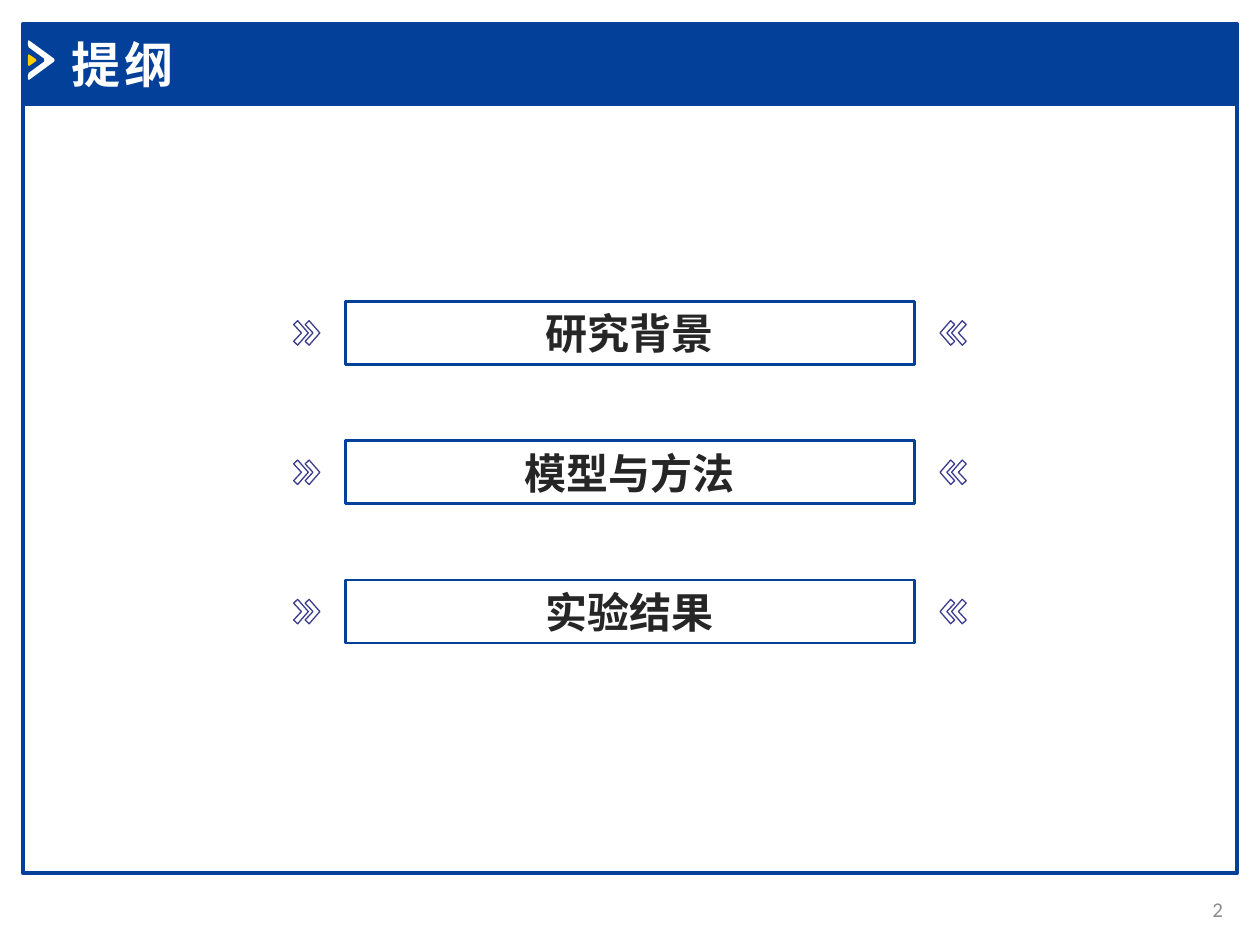
from pptx import Presentation
from pptx import util as u
from pptx.dml import color
from pptx.enum import shapes, text
from pptx.oxml import ns
from lxml import etree

Pt = u.Pt
HUES = {"blue": "02409A", "white": "FFFFFF", "gold": "FFCC00",
        "mark": "3C3C8E", "ink": "262626", "gray": "8C8C8C"}
CJK = "Noto Sans CJK SC"
ITEMS = ["研究背景", "模型与方法", "实验结果"]

# Outlines in points from their own top left corner
ARROW = [(0.5, 0), (0, 0.9), (0, 2.7), (0.5, 4.1), (9.2, 10.5), (9.4, 11.4),
         (9.2, 12.3), (0.5, 18.7), (0, 20), (0, 21.9), (0.5, 22.8),
         (15, 12.2), (15.2, 11.4), (15, 10.6)]
TIP = [(0.5, 0), (0, 0.8), (0, 6), (0.5, 6.8), (4.6, 4), (4.8, 3.4), (4.6, 2.8)]
CHEVRON = [(2.3, 0), (0, 2.2), (4.5, 7), (0, 11.8), (2.3, 14), (8.4, 7)]


def rgb(name):
    return color.RGBColor.from_string(HUES[name])


def paint(shape, fill=None, line=None, width=1):
    shape.shadow.inherit = False
    if fill:
        shape.fill.solid()
        shape.fill.fore_color.rgb = rgb(fill)
    else:
        shape.fill.background()
    if line:
        shape.line.color.rgb = rgb(line)
        shape.line.width = Pt(width)
    else:
        shape.line.fill.background()


def rect(slide, box, **look):
    shape = slide.shapes.add_shape(shapes.MSO_SHAPE.RECTANGLE, *map(Pt, box))
    paint(shape, **look)
    return shape


def outline(slide, left, top, points, flip=False, **look):
    """Draw a closed outline; flip mirrors it, with left as its right edge."""
    sign = -1 if flip else 1
    spots = [(Pt(left + sign * x), Pt(top + y)) for x, y in points]
    pen = slide.shapes.build_freeform(*spots[0])
    pen.add_line_segments(spots[1:], close=True)
    paint(pen.convert_to_shape(), **look)


def write(shape, words, size, hue, font="Calibri", bold=False,
          align="LEFT", space=0):
    frame = shape.text_frame
    frame.word_wrap = True
    frame.vertical_anchor = text.MSO_ANCHOR.MIDDLE
    para = frame.paragraphs[0]
    para.alignment = text.PP_ALIGN[align]
    run = para.add_run()
    run.text = words
    run.font.size, run.font.bold, run.font.name = Pt(size), bold, font
    run.font.color.rgb = rgb(hue)
    props = run.font.language_id is not None and run._r.get_or_add_rPr()
    if space:
        props.set("spc", str(space * 100))
    latin = props.find(ns.qn("a:latin"))
    east = etree.Element(ns.qn("a:ea"), typeface=CJK)
    latin.addnext(east)


def label(slide, box, words, size, hue, **style):
    write(slide.shapes.add_textbox(*map(Pt, box)), words, size, hue, **style)


def panel(slide, left, top, wide, high, head=46):
    # Frame with its title bar
    rect(slide, (left, top + head, wide, high - head), line="blue", width=2)
    rect(slide, (left, top, wide, head), fill="blue", line="blue", width=2)
    # Title arrow
    outline(slide, left + 3, top + 9.3, ARROW, fill="white")
    outline(slide, left + 3, top + 17.3, TIP, fill="gold")
    label(slide, (left + 21, top + 2.3, 256, 41), "提纲", 28, "white",
          bold=True, space=2)


def entry(slide, left, top, wide, high, words):
    shape = rect(slide, (left, top, wide, high), line="blue", width=1.5)
    write(shape, words, 24, "ink", font=CJK, bold=True, align="CENTER")
    # Double chevrons on both sides, pointing at the box
    for gap in (29.5, 22.9):
        for edge, flip in ((left - gap, False), (left + wide + gap, True)):
            outline(slide, edge, top + high / 2 - 7, CHEVRON, flip,
                    line="mark", width=0.75)


def agenda(slide, left, top, wide, step):
    for row, words in enumerate(ITEMS):
        entry(slide, left, top + row * step, wide, 36, words)


def main():
    deck = Presentation()
    deck.slide_width, deck.slide_height = Pt(720), Pt(540)
    slide = deck.slides.add_slide(deck.slide_layouts[6])
    panel(slide, 13, 13.7, 694, 485.3)
    agenda(slide, 197.3, 172.3, 325.4, 79.6)
    # Page number
    label(slide, (664, 505, 42, 29), "2", 12, "gray", align="RIGHT")
    deck.save("out.pptx")


if __name__ == "__main__":
    main()
